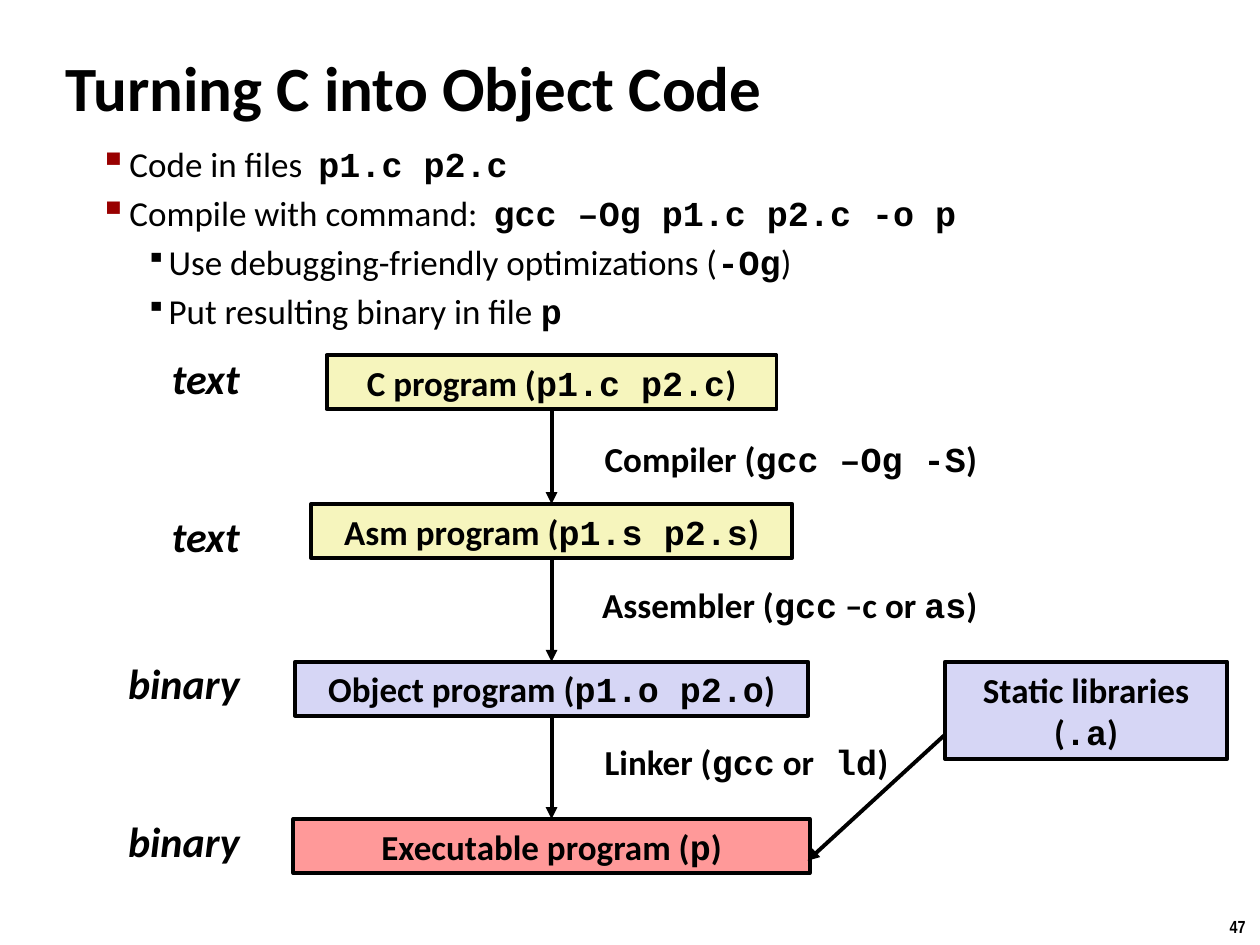
from dataclasses import dataclass
from itertools import pairwise

from lxml.etree import SubElement
from pptx import Presentation
from pptx.dml.color import RGBColor
from pptx.enum.dml import MSO_LINE
from pptx.enum.shapes import MSO_CONNECTOR, MSO_SHAPE
from pptx.enum.text import MSO_ANCHOR, MSO_AUTO_SIZE, PP_ALIGN
from pptx.oxml.ns import qn
from pptx.shapes.autoshape import Shape
from pptx.shapes.connector import Connector
from pptx.slide import Slide
from pptx.text.text import TextFrame, _Paragraph
from pptx.util import Cm, Pt


@dataclass(frozen=True)
class Theme:
    ink: str = "000000"
    source: str = "F6F5BD"
    binary: str = "D6D6F5"
    executable: str = "FF9999"
    bullet: str = "990000"
    font: str = "Calibri"
    code_font: str = "Courier New"
    number_font: str = "Arial Narrow"
    title_size: int = 36
    label_size: int = 24
    text_size: int = 20
    number_size: int = 10
    line_width: float = 2.25


THEME = Theme()


@dataclass(frozen=True)
class Area:
    """Left, top, width and height in centimetres."""
    left: float
    top: float
    width: float
    height: float

    def lengths(self) -> tuple[Cm, Cm, Cm, Cm]:
        return Cm(self.left), Cm(self.top), Cm(self.width), Cm(self.height)


@dataclass(frozen=True)
class Stage:
    text: str
    top: float
    width: float
    fill: str


@dataclass(frozen=True)
class Label:
    text: str
    area: Area


@dataclass(frozen=True)
class BulletStyle:
    margin: float
    hanging: float
    percent: int
    color: str


TOP_LEVEL = BulletStyle(1.55, 0.61, 110, THEME.bullet)
SUB_LEVEL = BulletStyle(2.34, 0.46, 80, THEME.ink)

# Backticks mark code
BULLETS = [
    ("Code in files  `p1.c p2.c`", TOP_LEVEL),
    ("Compile with command:  `gcc –Og p1.c p2.c -o p`", TOP_LEVEL),
    ("Use debugging-friendly optimizations (`-Og`)", SUB_LEVEL),
    ("Put resulting binary in file `p`", SUB_LEVEL),
]
STAGE_CENTER, STAGE_HEIGHT = 11.12, 1.09
STAGES = [
    Stage("C program (`p1.c p2.c`)", 7.16, 9.07, THEME.source),
    Stage("Asm program (`p1.s p2.s`)", 10.16, 9.7, THEME.source),
    Stage("Object program (`p1.o p2.o`)", 13.34, 10.34, THEME.binary),
    Stage("Executable program (`p`)", 16.51, 10.41, THEME.executable),
]
TOOLS = [
    Label("Compiler (`gcc –Og -S`)", Area(11.94, 8.69, 8.43, 1.09)),
    Label("Assembler (`gcc` –c or `as`)", Area(11.89, 11.63, 8.46, 1.09)),
    Label("Linker (`gcc` or` ld`)", Area(11.94, 14.81, 7.34, 1.09)),
]
FORMATS = [
    Label("text", Area(3.05, 6.98, 2.03, 1.27)),
    Label("text", Area(3.05, 10.16, 2.03, 1.27)),
    Label("binary", Area(2.21, 13.13, 2.87, 1.27)),
    Label("binary", Area(2.21, 16.31, 2.87, 1.27)),
]


def color(value: str) -> RGBColor:
    return RGBColor.from_string(value)


def write(para: _Paragraph, text: str, size: int = THEME.text_size,
          bold: bool = True, italic: bool = False, font: str = THEME.font,
          align: PP_ALIGN = PP_ALIGN.LEFT) -> None:
    """Fill a paragraph, setting the parts between backticks as code."""
    para.alignment = align
    para.font.size = Pt(size)
    para.font.bold = bold
    para.font.italic = italic
    para.font.name = font
    para.font.color.rgb = color(THEME.ink)
    for index, part in enumerate(text.split("`")):
        if not part:
            continue
        span = para.add_run()
        span.text = part
        if index % 2:
            span.font.name = THEME.code_font
            span.font.bold = True


def indent(para: _Paragraph, margin: float, hanging: float) -> None:
    properties = para._p.get_or_add_pPr()
    properties.set("marL", str(Cm(margin)))
    properties.set("indent", str(-Cm(hanging)))


def add_bullet(para: _Paragraph, style: BulletStyle) -> None:
    indent(para, style.margin, style.hanging)
    properties = para._p.get_or_add_pPr()
    bullet_color = SubElement(properties, qn("a:buClr"))
    SubElement(bullet_color, qn("a:srgbClr"), val=style.color)
    SubElement(properties, qn("a:buSzPct"), val=str(style.percent * 1000))
    SubElement(properties, qn("a:buChar"), char="▪")


def add_text(page: Slide, area: Area) -> TextFrame:
    frame = page.shapes.add_textbox(*area.lengths()).text_frame
    frame.word_wrap = True
    return frame


def add_box(page: Slide, text: str, area: Area, fill: str) -> Shape:
    box = page.shapes.add_shape(MSO_SHAPE.RECTANGLE, *area.lengths())
    box.shadow.inherit = False
    box.fill.solid()
    box.fill.fore_color.rgb = color(fill)
    box.line.color.rgb = color(THEME.ink)
    box.line.width = Pt(THEME.line_width)
    box.text_frame.word_wrap = True
    write(box.text_frame.paragraphs[0], text, align=PP_ALIGN.CENTER)
    return box


def add_arrow(page: Slide, start: tuple[float, float] = (0, 0),
              end: tuple[float, float] = (0, 0)) -> Connector:
    arrow = page.shapes.add_connector(
        MSO_CONNECTOR.STRAIGHT, *map(Cm, start), *map(Cm, end))
    arrow.line.color.rgb = color(THEME.ink)
    arrow.line.width = Pt(THEME.line_width)
    arrow.line.dash_style = MSO_LINE.SOLID
    SubElement(arrow.line._get_or_add_ln(), qn("a:tailEnd"), type="triangle")
    SubElement(arrow._element.spPr, qn("a:effectLst"))
    return arrow


def main() -> None:
    deck = Presentation()
    deck.slide_width, deck.slide_height = Cm(25.4), Cm(19.05)
    page = deck.slides.add_slide(deck.slide_layouts[5])

    # Title
    title = page.shapes.title
    title.left, title.top, title.width, title.height = Area(
        1.07, 0.94, 19.43, 1.6).lengths()
    title.text_frame.vertical_anchor = MSO_ANCHOR.MIDDLE
    title.text_frame.auto_size = MSO_AUTO_SIZE.NONE
    heading = title.text_frame.paragraphs[0]
    write(heading, "Turning C into Object Code", THEME.title_size)
    indent(heading, 0.33, 0.33)

    # Bullets
    body = add_text(page, Area(0.81, 2.74, 23.09, 4.06))
    for index, (text, style) in enumerate(BULLETS):
        para = body.add_paragraph() if index else body.paragraphs[0]
        para.space_before = Pt(THEME.text_size * 0.2)
        add_bullet(para, style)
        write(para, text, bold=False)

    # File formats and tools
    for label in FORMATS:
        write(add_text(page, label.area).paragraphs[0], label.text,
              THEME.label_size, italic=True, align=PP_ALIGN.RIGHT)
    for label in TOOLS:
        write(add_text(page, label.area).paragraphs[0], label.text)

    # Build stages, each joined to the next
    boxes = [add_box(page, stage.text,
                     Area(STAGE_CENTER - stage.width / 2, stage.top,
                          stage.width, STAGE_HEIGHT), stage.fill)
             for stage in STAGES]
    for upper, lower in pairwise(boxes):
        arrow = add_arrow(page)
        arrow.begin_connect(upper, 2)
        arrow.end_connect(lower, 0)

    # Static libraries feeding the executable
    add_box(page, "Static libraries (`.a`)",
            Area(19.05, 13.34, 5.69, 1.96), THEME.binary)
    add_arrow(page, (19.05, 14.81), (16.28, 17.35))

    # Page number
    number = add_text(page, Area(24.54, 18.34, 0.86, 0.69))
    number.word_wrap = False
    write(number.paragraphs[0], "47", THEME.number_size, font=THEME.number_font)

    deck.save("out.pptx")


if __name__ == "__main__":
    main()
